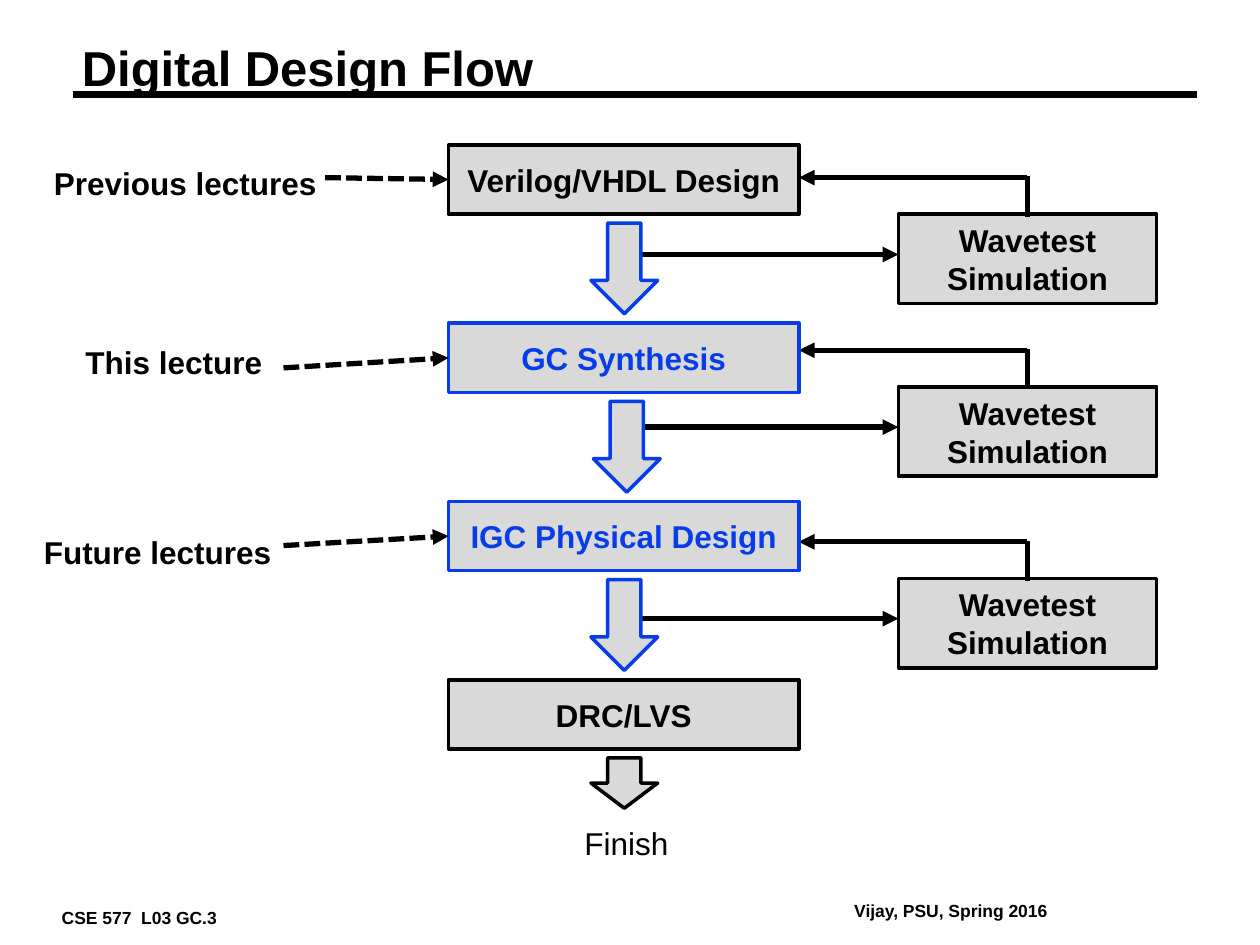
from lxml import etree
from pptx import Presentation
from pptx.dml.color import RGBColor as RGB
from pptx.enum.dml import MSO_LINE as Dash
from pptx.enum.shapes import MSO_CONNECTOR as Link, MSO_SHAPE as Kind
from pptx.enum.text import MSO_ANCHOR as Anchor, MSO_AUTO_SIZE as Auto, PP_ALIGN as Align
from pptx.oxml.ns import qn
from pptx.util import Inches, Pt

BLACK, BLUE, GREY = "000000", "063DE8", "D9D9D9"
LEFT, WIDE, HIGH = 3.56, 2.78, 0.55   # step boxes
TOP, PITCH = 1.15, 1.415
SIM_X, SIM_W, SIM_H = 7.13, 2.05, 0.71
STEPS = [("Verilog/VHDL Design", BLACK), ("GC Synthesis", BLUE),
         ("IGC Physical Design", BLUE), ("DRC/LVS", BLACK)]
SIM_TOPS = [1.70, 3.07, 4.59]
ARROWS = [(4.69, 0.72, BLUE), (4.71, 0.72, BLUE),
          (4.69, 0.72, BLUE), (4.69, 0.40, BLACK)]
# label, its left, top and width, then the pointer's start
NOTES = [("Previous lectures", 0.33, 1.25, 2.31, 2.58, 1.41),
         ("This lecture", 0.58, 2.67, 1.62, 2.25, 2.92),
         ("Future lectures", 0.25, 4.18, 2.03, 2.25, 4.33)]


def color(code):
    return RGB.from_string(code)


def write(frame, text, size, tint=BLACK, bold=True, align=Align.LEFT):
    frame.text = text
    for para in frame.paragraphs:
        para.alignment = align
        font = para.font
        font.name, font.size, font.bold = "Arial", Pt(size), bold
        font.color.rgb = color(tint)


def label(slide, text, x, y, w, h=0.4, size=18, bold=True, tight=False, wrap=False):
    box = slide.shapes.add_textbox(*map(Inches, (x, y, w, h)))
    frame = box.text_frame
    frame.word_wrap = wrap
    frame.auto_size = Auto.SHAPE_TO_FIT_TEXT
    if tight:
        frame.margin_left = frame.margin_right = Inches(0.07)
        frame.margin_top = frame.margin_bottom = Inches(0.03)
    write(frame, text, size, bold=bold)
    return frame


def block(slide, kind, x, y, w, h, tint, text=""):
    shape = slide.shapes.add_shape(kind, *map(Inches, (x, y, w, h)))
    shape.shadow.inherit = False
    shape.fill.solid()
    shape.fill.fore_color.rgb = color(GREY)
    shape.line.color.rgb = color(tint)
    shape.line.width = Pt(2)
    if text:
        shape.text_frame.vertical_anchor = Anchor.MIDDLE
        write(shape.text_frame, text, 18, tint, align=Align.CENTER)


def line(slide, x1, y1, x2, y2, width=3, head=True, dash=False):
    link = slide.shapes.add_connector(Link.STRAIGHT, *map(Inches, (x1, y1, x2, y2)))
    link.line.color.rgb = color(BLACK)
    link.line.width = Pt(width)
    if dash:
        link.line.dash_style = Dash.SQUARE_DOT
    props = link._element.spPr
    if head:
        etree.SubElement(props.find(qn("a:ln")), qn("a:tailEnd"), type="triangle")
    etree.SubElement(props, qn("a:effectLst"))


def frame_page(slide):
    """Title, its rule and the two footers."""
    label(slide, "CSE 577  L03 GC.3", 0.42, 7.17, 1.47, 0.22, 10, tight=True)
    label(slide, "Vijay, PSU, Spring 2016", 6.71, 7.11, 1.7, 0.22, 10, tight=True)
    line(slide, 0.58, 0.75, 9.5, 0.75, 4.5, head=False)
    title = label(slide, "Digital Design Flow", 0.58, 0.33, 8.92, 0.46, 28,
                  tight=True, wrap=True)
    title.paragraphs[0].line_spacing = 0.87


def sim(slide, y):
    """A simulation box with the line into it and the loop back."""
    mid, back = SIM_X + SIM_W / 2, y - 0.29
    block(slide, Kind.RECTANGLE, SIM_X, y, SIM_W, SIM_H, BLACK, "Wavetest\nSimulation")
    line(slide, 5.08, y + 0.32, SIM_X, y + 0.32)
    line(slide, mid, back, LEFT + WIDE, back)
    line(slide, mid, y + 0.02, mid, back - 0.01, head=False)


def main():
    deck = Presentation()
    deck.slide_width, deck.slide_height = Inches(10), Inches(7.5)
    slide = deck.slides.add_slide(deck.slide_layouts[6])
    frame_page(slide)
    for y in SIM_TOPS:
        sim(slide, y)
    for row, ((text, tint), (x, h, edge)) in enumerate(zip(STEPS, ARROWS)):
        y = TOP + row * PITCH
        block(slide, Kind.RECTANGLE, LEFT, y, WIDE, HIGH, tint, text)
        block(slide, Kind.DOWN_ARROW, x, y + 0.62, 0.53, h, edge)
    for row, (text, x, y, w, tip_x, tip_y) in enumerate(NOTES):
        label(slide, text, x, y, w)
        line(slide, tip_x, tip_y, LEFT, TOP + row * PITCH + HIGH / 2, dash=True)
    label(slide, "Finish", 4.54, 6.49, 0.88, bold=False)
    deck.save("out.pptx")


if __name__ == "__main__":
    main()
